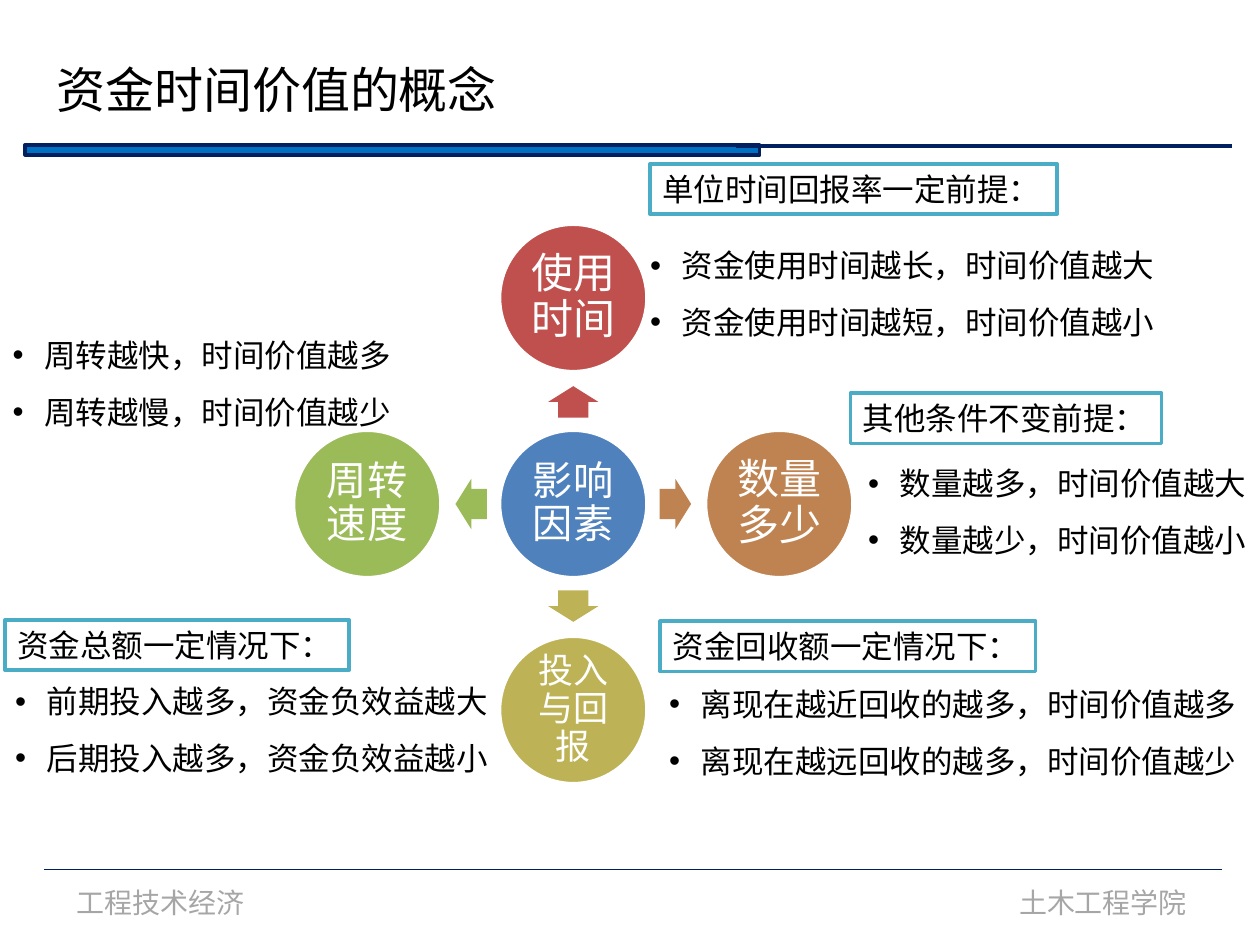
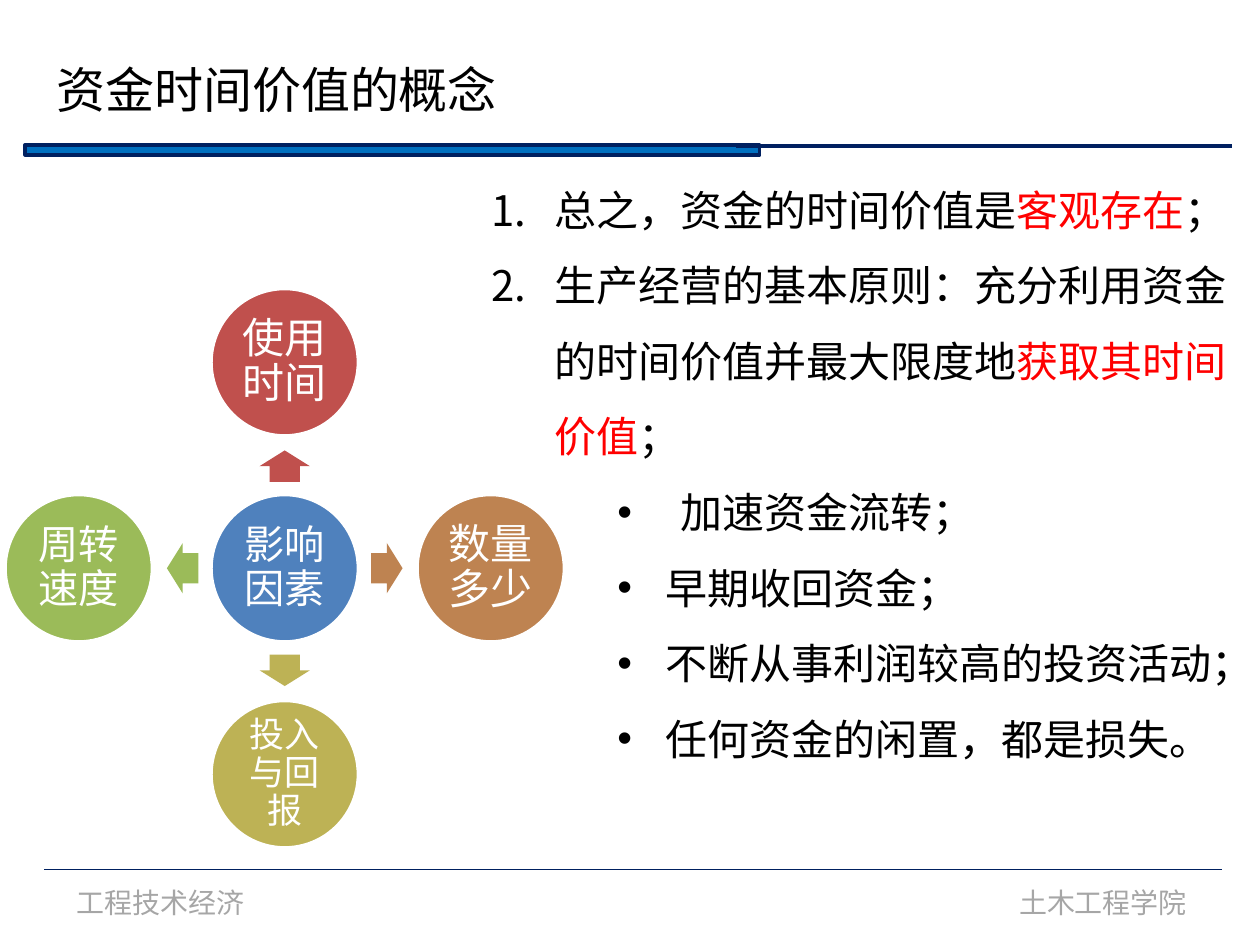
from lxml import etree
from pptx import Presentation
from pptx.dml.color import RGBColor
from pptx.enum.shapes import MSO_CONNECTOR, MSO_SHAPE
from pptx.enum.text import MSO_ANCHOR, MSO_AUTO_SIZE, PP_ALIGN
from pptx.oxml.ns import qn
from pptx.util import Inches, Pt

RECTANGLE, OVAL, ARROW = MSO_SHAPE.RECTANGLE, MSO_SHAPE.OVAL, MSO_SHAPE.RIGHT_ARROW
STRAIGHT = MSO_CONNECTOR.STRAIGHT
MIDDLE, CENTER = MSO_ANCHOR.MIDDLE, PP_ALIGN.CENTER
GROW = MSO_AUTO_SIZE.SHAPE_TO_FIT_TEXT

LATIN, CHINESE = "Calibri", "Noto Sans CJK SC"
COLORS = {
    "text": "000000", "white": "FFFFFF", "footer": "A6A6A6", "emphasis": "FF0000",
    "bar": "0070C0", "navy": "002060", "label": "4BACC6",
    "hub": "4F81BD", "time": "C0504D", "amount": "BE8351",
    "return": "BDB255", "speed": "9BBB59",
}

# Content shared by both slides
TITLE = "资金时间价值的概念"
FOOTERS = [("工程技术经济", 0.51), ("土木工程学院", 7.99)]
HUB = ("影响因素", 23)
# text, size, colour, direction (x, y), arrow rotation
FACTORS = [
    ("使用时间", 24, "time", (0, -1), 270),
    ("数量多少", 24, "amount", (1, 0), 0),
    ("投入与回报", 20, "return", (0, 1), 90),
    ("周转速度", 23, "speed", (-1, 0), 180),
]

# Slide 1: premises and the rules that follow from them
PREMISES = [
    ("单位时间回报率一定前提：", (5.16, 1.3, 3.23)),
    ("其他条件不变前提：", (6.75, 3.12, 2.47)),
    ("资金总额一定情况下：", (0.04, 4.92, 2.73)),
    ("资金回收额一定情况下：", (5.24, 4.93, 2.98)),
]
RULES = [
    (["资金使用时间越长，时间价值越大", "资金使用时间越短，时间价值越小"], (5.16, 1.86, 4.33)),
    (["数量越多，时间价值越大", "数量越少，时间价值越小"], (6.89, 3.59, 3.07)),
    (["前期投入越多，资金负效益越大", "后期投入越多，资金负效益越小"], (0.12, 5.32, 4.65)),
    (["离现在越近回收的越多，时间价值越多", "离现在越远回收的越多，时间价值越少"],
     (5.31, 5.34, 4.65)),
    (["周转越快，时间价值越多", "周转越慢，时间价值越少"], (0.1, 2.57, 3.99)),
]

# Slide 2: runs (text, colour), bullet, left indent, hanging indent
SUMMARY = [
    ([("总之，资金的时间价值是", "text"), ("客观存在", "emphasis"), ("；", "text")],
     "1.", 0.5, 0.5),
    ([("生产经营的基本原则：充分利用资金的时间价值并最大限度地", "text"),
      ("获取其时间价值", "emphasis"), ("；", "text")], "1.", 0.5, 0.5),
    ([("加速资金流转；", "text")], "•", 1.5, 0.5),
    ([("早期收回资金；", "text")], "•", 1.38, 0.38),
    ([("不断从事利润较高的投资活动；", "text")], "•", 1.38, 0.38),
    ([("任何资金的闲置，都是损失。", "text")], "•", 1.38, 0.38),
]

# Ring geometry
CIRCLE, RING_RADIUS = 1.17, 1.635
ARROW_LENGTH, ARROW_WIDTH, ARROW_RADIUS = 0.25, 0.4, 0.81


def rgb(name):
    return RGBColor.from_string(COLORS[name])


def add_run(paragraph, text, size, color="text", font=CHINESE):
    run = paragraph.add_run()
    run.text = text
    for name, value in {"size": Pt(size), "name": font}.items():
        setattr(run.font, name, value)
    run.font.color.rgb = rgb(color)
    east_asian = etree.SubElement(run.font._element, qn("a:ea"))
    east_asian.set("typeface", CHINESE)


def set_frame(frame, inset=None, **formats):
    if inset is not None:
        for side in ("left", "top", "right", "bottom"):
            formats["margin_" + side] = Inches(inset)
    for name, value in formats.items():
        setattr(frame, name, value)


def paint(shape, fill, line=None, width=2):
    shape.fill.solid()
    shape.fill.fore_color.rgb = rgb(fill)
    if line:
        shape.line.color.rgb = rgb(line)
        shape.line.width = Pt(width)
    else:
        shape.line.fill.background()


def add_shape(slide, kind, box, fill, line=None):
    shape = slide.shapes.add_shape(kind, *map(Inches, box))
    shape.shadow.inherit = False
    paint(shape, fill, line)
    return shape


def add_rule(slide, left, right, y, width):
    rule = slide.shapes.add_connector(
        STRAIGHT, Inches(left), Inches(y), Inches(right), Inches(y))
    rule.line.color.rgb = rgb("navy")
    rule.line.width = Pt(width)
    etree.SubElement(rule._element.spPr, qn("a:effectLst"))


def add_line_of_text(slide, text, box, size, color="text", font=LATIN):
    shape = slide.shapes.add_textbox(*map(Inches, box))
    set_frame(shape.text_frame, word_wrap=False, auto_size=GROW)
    add_run(shape.text_frame.paragraphs[0], text, size, color, font)
    return shape


def add_list(slide, items, box, size):
    frame = slide.shapes.add_textbox(*map(Inches, box)).text_frame
    set_frame(frame, inset=0, word_wrap=True, vertical_anchor=MIDDLE)
    for index, (runs, bullet, indent, hanging) in enumerate(items):
        paragraph = frame.add_paragraph() if index else frame.paragraphs[0]
        paragraph.line_spacing = 1.5
        properties = paragraph._p.get_or_add_pPr()
        properties.set("marL", str(Inches(indent)))
        properties.set("indent", str(-Inches(hanging)))
        if bullet == "•":
            etree.SubElement(properties, qn("a:buFont")).set("typeface", "Arial")
            etree.SubElement(properties, qn("a:buChar")).set("char", bullet)
        else:
            etree.SubElement(properties, qn("a:buFont")).set("typeface", CHINESE)
            etree.SubElement(properties, qn("a:buAutoNum")).set("type", "arabicPeriod")
        for text, color in runs:
            add_run(paragraph, text, size, color)


def centered(x, y, width, height):
    return x - width / 2, y - height / 2, width, height


def add_circle(slide, x, y, text, size, color):
    circle = add_shape(slide, OVAL, centered(x, y, CIRCLE, CIRCLE), color, "white")
    set_frame(circle.text_frame, inset=0.03, word_wrap=True, vertical_anchor=MIDDLE)
    paragraph = circle.text_frame.paragraphs[0]
    paragraph.alignment = CENTER
    paragraph.line_spacing = 0.9
    add_run(paragraph, text, size, "white", LATIN)


def add_ring(slide, x, y):
    add_circle(slide, x, y, *HUB, "hub")
    for text, size, color, (dx, dy), rotation in FACTORS:
        box = centered(x + dx * ARROW_RADIUS, y + dy * ARROW_RADIUS,
                       ARROW_LENGTH, ARROW_WIDTH)
        arrow = add_shape(slide, ARROW, box, color)
        arrow.adjustments[0], arrow.adjustments[1] = 0.6, 0.5
        arrow.rotation = rotation
        add_circle(slide, x + dx * RING_RADIUS, y + dy * RING_RADIUS, text, size, color)


def add_base_slide(presentation):
    slide = presentation.slides.add_slide(presentation.slide_layouts[6])
    # Header band, footer rule and footers
    add_shape(slide, RECTANGLE, (0.2, 1.15, 5.83, 0.08), "bar", "navy")
    add_rule(slide, 5.84, 9.78, 1.16, 2.25)
    add_rule(slide, 0.35, 9.7, 6.9, 0.75)
    for text, left in FOOTERS:
        add_line_of_text(slide, text, (left, 6.98, 1.55, 0.37), 16, "footer")
    add_line_of_text(slide, TITLE, (0.35, 0.42, 3.74, 0.57), 28, font=CHINESE)
    return slide


def main():
    presentation = Presentation()
    presentation.slide_width, presentation.slide_height = Inches(10), Inches(7.5)

    # Slide 1: factors with their rules
    slide = add_base_slide(presentation)
    add_ring(slide, 4.55, 4)
    for text, (left, top, width) in PREMISES:
        label = add_line_of_text(slide, text, (left, top, width, 0.4), 18)
        paint(label, "white", "label")
    for rules, (left, top, width) in RULES:
        items = [([(rule, "text")], "•", 0.25, 0.25) for rule in rules]
        add_list(slide, items, (left, top, width, 0.79), 18)

    # Slide 2: factors with the summary
    slide = add_base_slide(presentation)
    add_ring(slide, 2.26, 4.51)
    add_list(slide, SUMMARY, (3.9, 1.15, 6.1, 5.02), 24)

    presentation.save("out.pptx")


if __name__ == "__main__":
    main()
